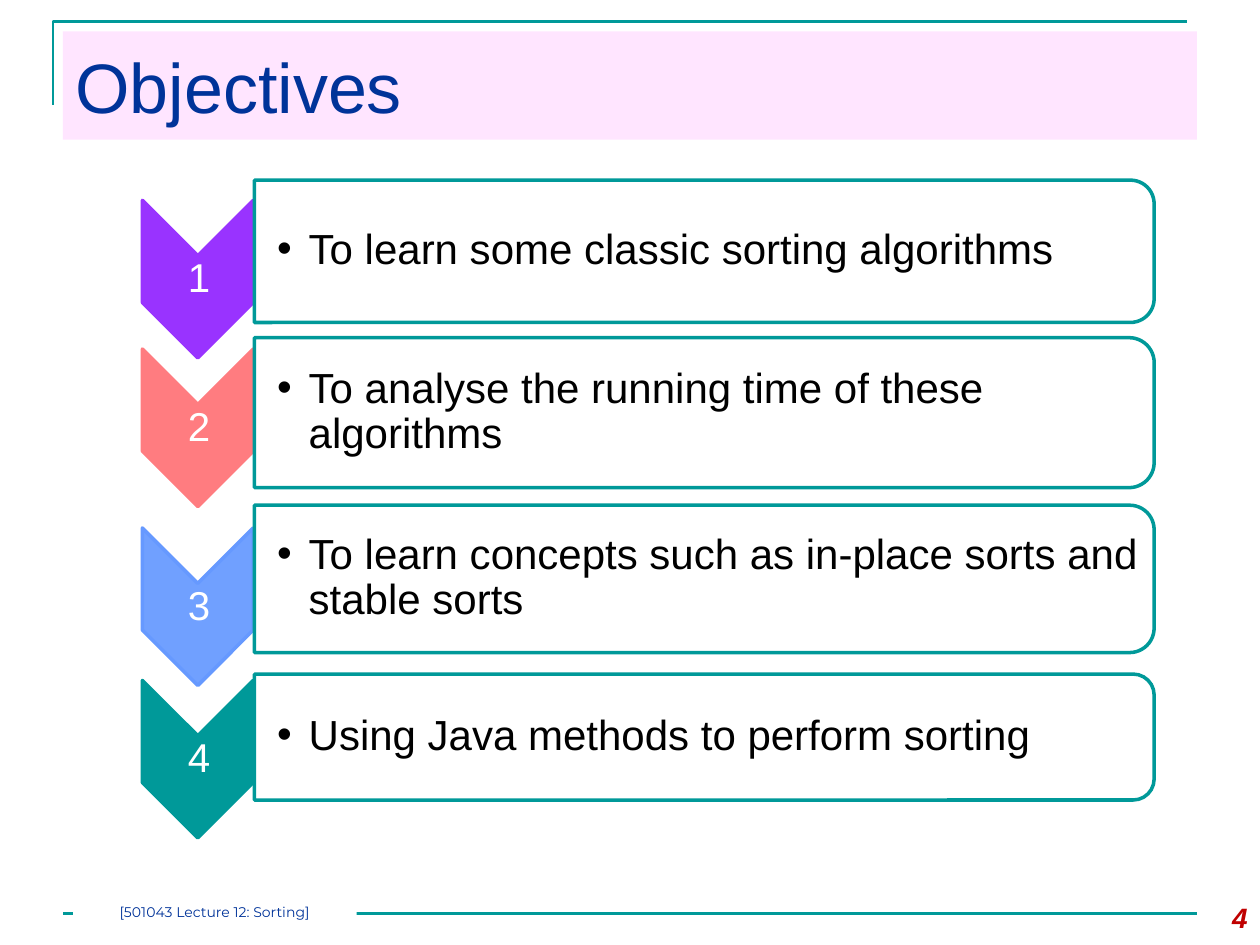
from dataclasses import dataclass

from lxml import etree
from pptx import Presentation
from pptx.dml.color import RGBColor
from pptx.enum.shapes import MSO_CONNECTOR, MSO_SHAPE
from pptx.enum.text import MSO_ANCHOR, PP_ALIGN
from pptx.oxml.ns import qn
from pptx.util import Inches, Pt

RECTANGLE = MSO_SHAPE.RECTANGLE
CHEVRON = MSO_SHAPE.CHEVRON
ROUNDED_TOP = MSO_SHAPE.ROUND_2_SAME_RECTANGLE
STRAIGHT = MSO_CONNECTOR.STRAIGHT
LEFT, CENTER, RIGHT = PP_ALIGN.LEFT, PP_ALIGN.CENTER, PP_ALIGN.RIGHT
TOP, MIDDLE = MSO_ANCHOR.TOP, MSO_ANCHOR.MIDDLE


@dataclass(frozen=True)
class Theme:
    """Colours, fonts and sizes of the slide."""
    teal: str = "009999"
    navy: str = "003399"
    pink: str = "FF99FF"
    red: str = "C00000"
    white: str = "FFFFFF"
    black: str = "000000"
    font: str = "Arial"
    footer_font: str = "Montserrat"
    title_size: int = 40
    body_size: int = 24
    step_size: int = 23
    number_size: int = 16
    footer_size: int = 8
    rule_width: float = 1.5
    outline_width: float = 2


def write_text(shape, text, *, size, color, font=Theme.font, bold=False, italic=False,
               align=LEFT, anchor=TOP, insets=(0.1, 0.05, 0.1, 0.05), spacing=None, bullet_indent=None):
    """Write one formatted paragraph into a shape."""
    frame = shape.text_frame
    frame.word_wrap = True
    frame.vertical_anchor = anchor
    frame.margin_left, frame.margin_top, frame.margin_right, frame.margin_bottom = map(Inches, insets)
    paragraph = frame.paragraphs[0]
    paragraph.alignment = align
    if spacing:
        paragraph.line_spacing = spacing
    if bullet_indent:
        properties = paragraph._p.get_or_add_pPr()
        properties.set("marL", str(Inches(bullet_indent)))
        properties.set("indent", str(-Inches(bullet_indent)))
        etree.SubElement(properties, qn("a:buFont")).set("typeface", Theme.font)
        etree.SubElement(properties, qn("a:buChar")).set("char", "•")
    run = paragraph.add_run()
    run.text = text
    run.font.name = font
    run.font.size = Pt(size)
    run.font.bold = bold
    run.font.italic = italic
    run.font.color.rgb = RGBColor.from_string(color)


class SlideBuilder:
    """Draws styled elements on the current slide."""

    def __init__(self, slide, theme):
        """Keep the slide and its theme."""
        self.slide = slide
        self.theme = theme

    def outline(self, shape, color, width):
        """Set the line of a shape or connector."""
        shape.line.color.rgb = RGBColor.from_string(color)
        shape.line.width = Pt(width)

    def block(self, kind, left, top, width, height, fill, line=None, opacity=None):
        """Add a filled preset shape."""
        shape = self.slide.shapes.add_shape(kind, *map(Inches, (left, top, width, height)))
        shape.shadow.inherit = False
        shape.fill.solid()
        shape.fill.fore_color.rgb = RGBColor.from_string(fill)
        if opacity:
            color = shape.element.spPr.find(qn("a:solidFill")).find(qn("a:srgbClr"))
            etree.SubElement(color, qn("a:alpha")).set("val", str(opacity * 1000))
        if line:
            self.outline(shape, line, self.theme.outline_width)
        else:
            shape.line.fill.background()
        return shape

    def turned_block(self, kind, left, top, width, height, fill, line, opacity=None):
        """Add a preset turned a quarter, placed by its visible box."""
        shift = (width - height) / 2
        shape = self.block(kind, left + shift, top - shift, height, width, fill, line, opacity)
        shape.rotation = 90

    def text(self, text, left, top, width, height, **text_format):
        """Add a text box."""
        box = self.slide.shapes.add_textbox(*map(Inches, (left, top, width, height)))
        write_text(box, text, **text_format)

    def rule(self, start_x, start_y, end_x, end_y):
        """Add a straight rule."""
        ends = map(Inches, (start_x, start_y, end_x, end_y))
        connector = self.slide.shapes.add_connector(STRAIGHT, *ends)
        self.outline(connector, self.theme.teal, self.theme.rule_width)
        etree.SubElement(connector.element.spPr, qn("a:effectLst"))

    def corner(self, *points):
        """Add an open line through the points."""
        start, *others = [tuple(map(Inches, point)) for point in points]
        builder = self.slide.shapes.build_freeform(*start)
        builder.add_line_segments(others, close=False)
        shape = builder.convert_to_shape()
        shape.shadow.inherit = False
        shape.fill.background()
        self.outline(shape, self.theme.teal, self.theme.rule_width)

    def objective(self, number, text, fill, line, chevron_top, card_top, card_height):
        """Add a numbered chevron and its card."""
        theme = self.theme
        self.turned_block(CHEVRON, 1.13, chevron_top, 0.88, 1.25, fill, line)
        self.text(str(number), 1.14, chevron_top + 0.44, 0.88, 0.38, size=theme.step_size,
                  color=theme.white, align=CENTER, anchor=MIDDLE, insets=(0.02,) * 4, spacing=0.9)
        self.turned_block(ROUNDED_TOP, 2.02, card_top, 7.14, card_height, theme.white, theme.teal, opacity=90)
        self.text(text, 2.01, card_top + 0.05, 7.08, card_height - 0.11, size=theme.body_size,
                  color=theme.black, anchor=MIDDLE, insets=(0.19, 0.02, 0.02, 0.02),
                  spacing=0.9, bullet_indent=0.25)


def main():
    """Build and save the slide."""
    theme = Theme()
    presentation = Presentation()
    presentation.slide_width = Inches(10)
    presentation.slide_height = Inches(7.5)
    slide = presentation.slides.add_slide(presentation.slide_layouts[6])
    builder = SlideBuilder(slide, theme)

    builder.corner((0.42, 0.83), (0.42, 0.17), (9.42, 0.17))
    builder.rule(0.5, 7.25, 9.5, 7.25)
    title = builder.block(RECTANGLE, 0.5, 0.25, 9, 0.86, theme.pink, opacity=25)
    write_text(title, "Objectives", size=theme.title_size, color=theme.navy, anchor=MIDDLE)
    builder.text("4", 9.33, 7.1, 0.67, 0.4, size=theme.number_size, color=theme.red,
                 bold=True, italic=True, align=RIGHT)

    objectives = [
        ("To learn some classic sorting algorithms", "9933FF", "9933FF", 1.59, 1.43, 1.13),
        ("To analyse the running time of these algorithms", "FF7C80", "FF7C80", 2.77, 2.68, 1.19),
        ("To learn concepts such as in-place sorts and stable sorts", "70A0FF", "6699FF", 4.19, 4.01, 1.17),
        ("Using Java methods to perform sorting", theme.teal, theme.teal, 5.4, 5.35, 1),
    ]
    for number, objective in enumerate(objectives, start=1):
        builder.objective(number, *objective)

    footer = builder.block(RECTANGLE, 0.58, 7.17, 2.25, 0.17, theme.white)
    write_text(footer, "[501043 Lecture 12: Sorting]", size=theme.footer_size, color=theme.navy,
               font=theme.footer_font, align=CENTER, insets=(0,) * 4)
    presentation.save("out.pptx")


if __name__ == "__main__":
    main()
